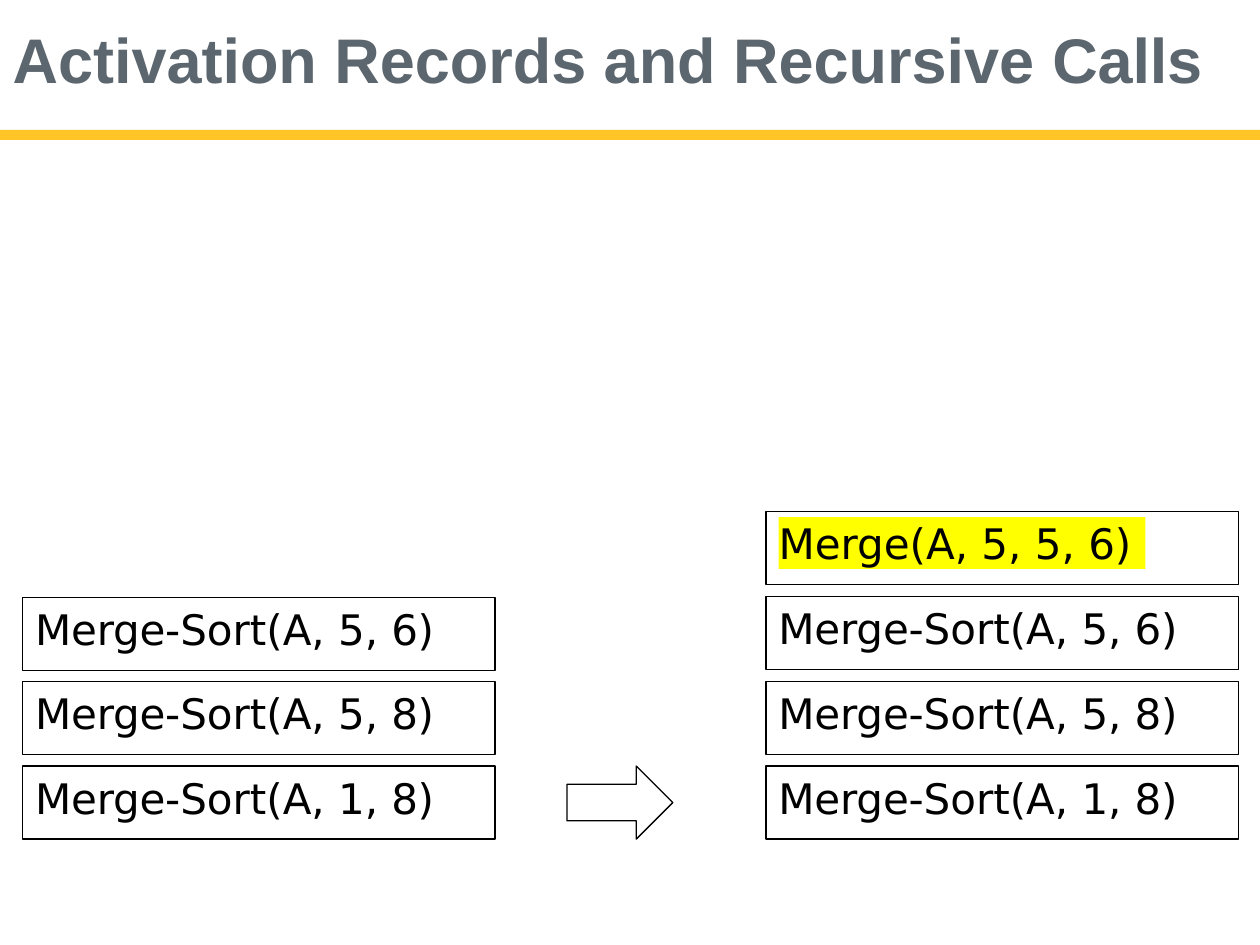
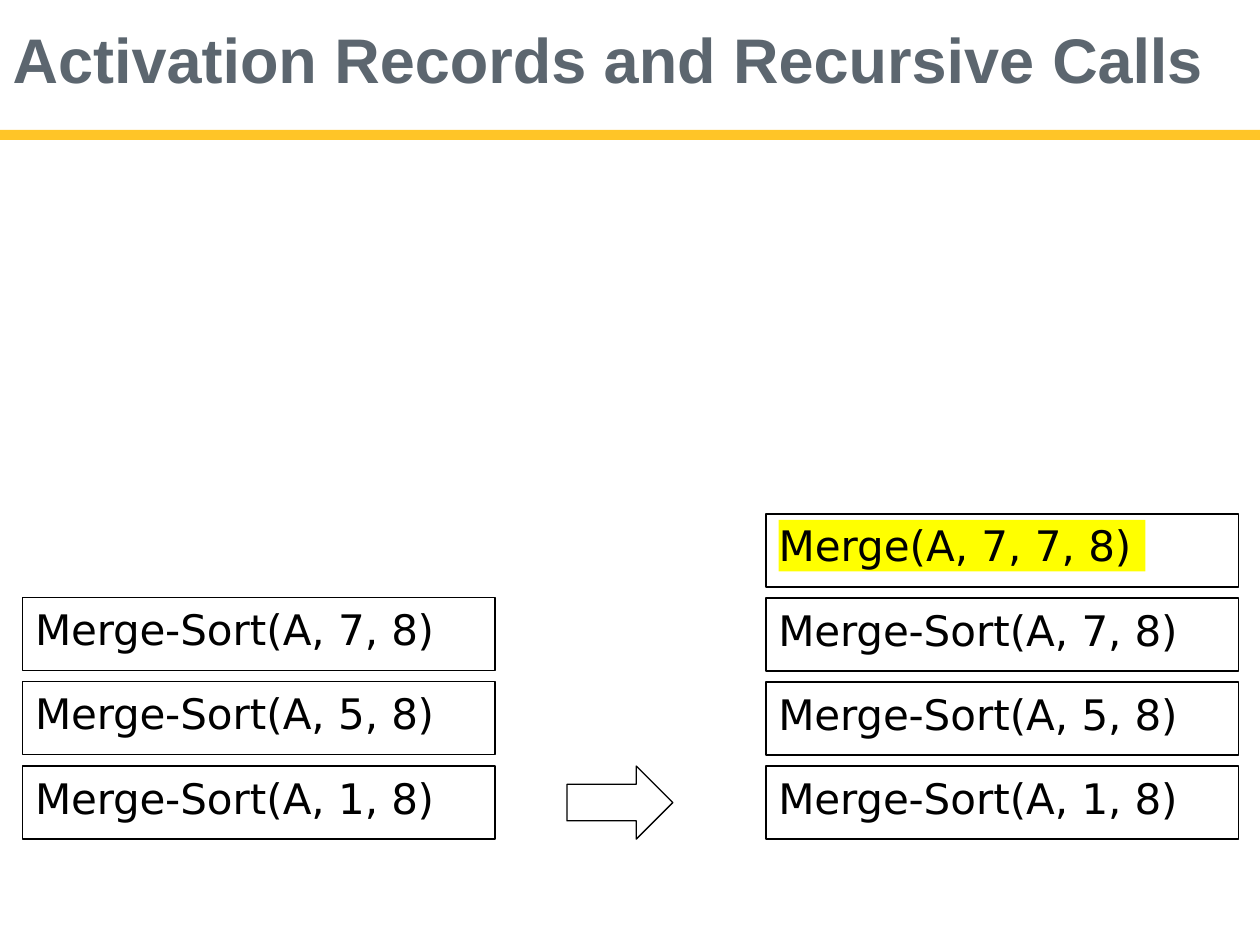
from pptx import Presentation
from pptx.dml.color import RGBColor
from pptx.enum.shapes import MSO_SHAPE as Preset
from pptx.enum.text import MSO_ANCHOR as Anchor, MSO_AUTO_SIZE as AutoSize, PP_ALIGN as Align
from pptx.util import Inches, Pt

COLORS = {"title": "5C666F", "band": "FFC527", "ink": "000000", "highlight": "FFFF00"}
TITLE_FONT, CALL_FONT = "Arial", "DejaVu Sans"
SLIDE_WIDTH, SLIDE_HEIGHT = Inches(10), Inches(7.5)
COLUMN, ROW = SLIDE_WIDTH / 1000, SLIDE_HEIGHT / 750

TITLE_TEXT = [("Activation Records and Recursive ", 0), ("Calls", -0.1)]
TITLE_BOX = (9, 15, 948, 63)
BAND_BOX = (0, 103, 1000, 8)
RECORD_WIDTH, RECORD_HEIGHT = 375, 58
BOTTOM_ROW = 608
LEFT_STACK, RIGHT_STACK = 18, 608
ARROW_BOX = (450, BOTTOM_ROW, 84, RECORD_HEIGHT)

STEPS = [
    {"calls": [(1, 8), (5, 8), (5, 6)], "merge": (5, 5, 6), "right_top": 406},
    {"calls": [(1, 8), (5, 8), (7, 8)], "merge": (7, 7, 8), "right_top": 408},
]
LEFT_TOP = 474


def place(box):
    """Turn a box in columns and rows into slide lengths."""
    left, top, width, height = box
    return round(left * COLUMN), round(top * ROW), round(width * COLUMN), round(height * ROW)


def color(name):
    """Look up a named colour."""
    return RGBColor.from_string(COLORS[name])


def add_box(slide, box, preset=Preset.RECTANGLE, fill=None, line=None):
    """Add a preset shape with an optional fill and outline."""
    shape = slide.shapes.add_shape(preset, *place(box))
    shape.shadow.inherit = False
    if fill:
        shape.fill.solid()
        shape.fill.fore_color.rgb = color(fill)
    else:
        shape.fill.background()
    if line:
        shape.line.color.rgb = color(line)
        shape.line.width = Pt(0.75)
    else:
        shape.line.fill.background()
    return shape


def write(shape, runs, font, size, ink, bold=False, left=0, top=0, before=0):
    """Write one left-aligned paragraph of (text, letter spacing) runs."""
    frame = shape.text_frame
    frame.word_wrap = True
    frame.auto_size = AutoSize.NONE
    frame.vertical_anchor = Anchor.TOP
    frame.margin_left, frame.margin_top = Inches(left), Inches(top)
    frame.margin_right = frame.margin_bottom = 0
    paragraph = frame.paragraphs[0]
    paragraph.alignment = Align.LEFT
    paragraph.space_before = Pt(before)
    for text, spacing in runs:
        run = paragraph.add_run()
        run.text = text
        run.font.name, run.font.size, run.font.bold = font, Pt(size), bold
        run.font.color.rgb = color(ink)
        if spacing:
            run._r.get_or_add_rPr().set("spc", str(round(spacing * 100)))


def add_layout_band(layout, slide):
    """Draw the band on a slide and move it to the shared layout."""
    band = add_box(slide, BAND_BOX, fill="band")
    layout.shapes.element.append(band.element)


def add_title(slide):
    """Fill and format the title placeholder."""
    title = slide.shapes.title
    title.left, title.top, title.width, title.height = place(TITLE_BOX)
    write(title, TITLE_TEXT, TITLE_FONT, 36, "title", bold=True, left=0.01, top=0.01, before=1)


def add_sort_record(slide, box, call):
    """Add an outlined record of one Merge-Sort call."""
    first, last = call
    record = add_box(slide, box, line="ink")
    runs = [("Merge-", -0.1), (f"Sort(A, {first},", 0), (f" {last})", -0.2)]
    write(record, runs, CALL_FONT, 24, "ink", left=0.1, top=0.05, before=3.5)


def add_merge_record(slide, box, call):
    """Add an outlined record with a highlighted Merge call."""
    first, middle, last = call
    left, top, _, _ = box
    add_box(slide, box, line="ink")
    label = add_box(slide, (left + 10, top + 4.5, 291, 41), fill="highlight")
    runs = [(f"Merge(A, {first}, {middle}, ", 0), (f"{last})", -0.2)]
    write(label, runs, CALL_FONT, 24, "ink", before=0.2)


def add_stack(slide, left, top, calls, merge=None):
    """Stack records evenly from the bottom row up to the given top row."""
    records = [(add_sort_record, call) for call in calls]
    if merge:
        records.append((add_merge_record, merge))
    pitch = (BOTTOM_ROW - top) / (len(records) - 1)
    for level, (add_record, call) in enumerate(records):
        add_record(slide, (left, BOTTOM_ROW - level * pitch, RECORD_WIDTH, RECORD_HEIGHT), call)


def add_step(slide, step):
    """Show the call stack before and after the Merge call."""
    add_title(slide)
    add_stack(slide, LEFT_STACK, LEFT_TOP, step["calls"])
    add_box(slide, ARROW_BOX, Preset.RIGHT_ARROW, line="ink")
    add_stack(slide, RIGHT_STACK, step["right_top"], step["calls"], step["merge"])


def main():
    """Build and save the presentation."""
    presentation = Presentation()
    presentation.slide_width, presentation.slide_height = SLIDE_WIDTH, SLIDE_HEIGHT
    layout = presentation.slide_layouts.get_by_name("Title Only")
    slides = [presentation.slides.add_slide(layout) for _ in STEPS]
    add_layout_band(layout, slides[0])
    for slide, step in zip(slides, STEPS):
        add_step(slide, step)
    presentation.save("out.pptx")


if __name__ == "__main__":
    main()
